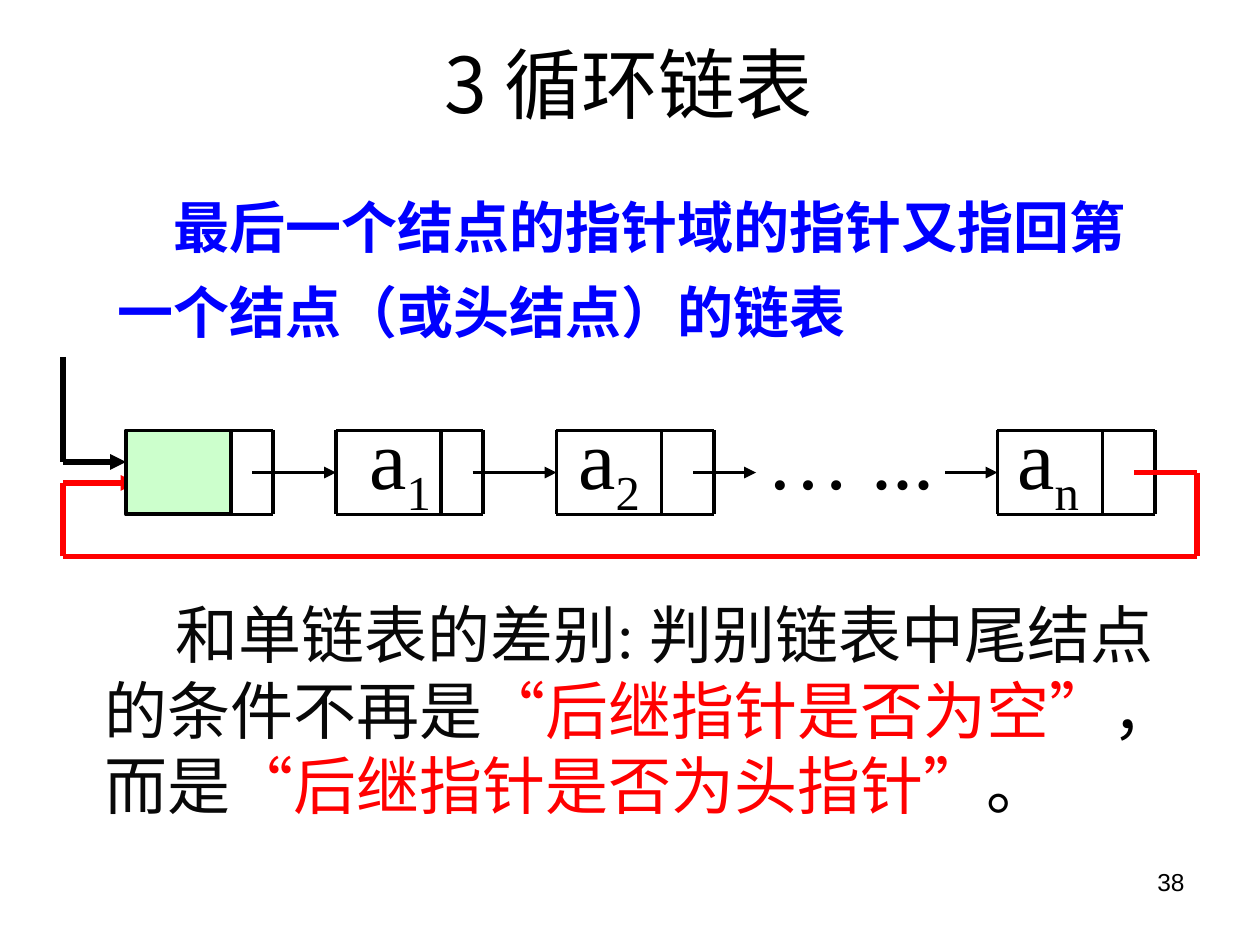
import dataclasses
import typing

import pptx
import pptx.dml.color
import pptx.enum.shapes
import pptx.enum.text
import pptx.oxml.ns
import pptx.util
from lxml import etree

COLS, ROWS = 120, 90
TOP, MID, BASE = 41, 45, 49
BLACK, RED, BLUE, GREEN, INK = "000000", "FF0000", "0000FF", "CCFFCC", "080808"
SERIF, SANS = "Times New Roman", "Noto Sans CJK SC"
ALIGN = pptx.enum.text.PP_ALIGN
SHAPE = pptx.enum.shapes.MSO_SHAPE

deck = pptx.Presentation()
deck.slide_width = pptx.util.Inches(10)
deck.slide_height = pptx.util.Inches(7.5)
slide = deck.slides.add_slide(deck.slide_layouts[5])


@dataclasses.dataclass
class Node:
    left: int
    split: int
    right: int


@dataclasses.dataclass
class Run:
    text: str
    color: str = BLACK
    base: int = 0


@dataclasses.dataclass
class Block:
    box: tuple
    runs: list
    font: dict
    para: dict = dataclasses.field(default_factory=dict)
    indent: float = 0
    tabs: tuple = ()


def hue(code: str) -> pptx.dml.color.RGBColor:
    return pptx.dml.color.RGBColor.from_string(code)


def across(col: float) -> int:
    return round(deck.slide_width * col / COLS)


def down(row: float) -> int:
    return round(deck.slide_height * row / ROWS)


def place(box: tuple) -> tuple:
    left, top, width, height = box
    return across(left), down(top), across(width), down(height)


def style(item: typing.Any, form: dict) -> None:
    for key, value in form.items():
        setattr(item, key, value)


def add_sub(parent: typing.Any, tag: str, **attrs: str) -> typing.Any:
    return etree.SubElement(parent, pptx.oxml.ns.qn(tag), **attrs)


def write(shape: typing.Any, block: Block) -> None:
    frame = shape.text_frame
    frame.word_wrap = True
    para = frame.paragraphs[0]
    style(para, block.para)
    props = para._p.get_or_add_pPr()
    if block.indent:
        props.set("indent", str(across(block.indent)))
    if block.tabs:
        stops = add_sub(props, "a:tabLst")
        for stop in block.tabs:
            add_sub(stops, "a:tab", pos=str(across(stop)), algn="l")
    for part in block.runs:
        run = para.add_run()
        run.text = part.text
        style(run.font, block.font)
        run.font.color.rgb = hue(part.color)
        look = run._r.get_or_add_rPr()
        add_sub(look, "a:ea", typeface=SANS)
        if part.base:
            look.set("baseline", str(part.base))


def add_text(block: Block) -> None:
    write(slide.shapes.add_textbox(*place(block.box)), block)


def add_cell(left: int, right: int, fill: str) -> None:
    box = place((left, TOP, right - left, BASE - TOP))
    rect = slide.shapes.add_shape(SHAPE.RECTANGLE, *box)
    rect.shadow.inherit = False
    rect.line.color.rgb = hue(BLACK)
    rect.line.width = pptx.util.Pt(2.25)
    rect.fill.solid()
    rect.fill.fore_color.rgb = hue(fill)


def add_line(start: tuple, end: tuple, color: str = BLACK,
             width: float = 2.25, arrow: bool = False) -> None:
    line = slide.shapes.add_connector(
        pptx.enum.shapes.MSO_CONNECTOR.STRAIGHT,
        across(start[0]), down(start[1]), across(end[0]), down(end[1]))
    line.line.color.rgb = hue(color)
    line.line.width = pptx.util.Pt(width)
    if arrow:
        add_sub(line.line._get_or_add_ln(), "a:tailEnd", type="triangle")
    add_sub(line._element.spPr, "a:effectLst")


def add_node(node: Node) -> None:
    for row in (TOP, BASE):
        add_line((node.left, row), (node.right, row))
    for col in (node.left, node.split, node.right):
        add_line((col, TOP), (col, BASE))


def add_path(points: list, color: str) -> None:
    last = len(points) - 2
    for step, (start, end) in enumerate(zip(points, points[1:])):
        add_line(start, end, color, 3, step == last)


def main() -> None:
    size = pptx.util.Pt
    title = slide.shapes.title
    style(title, dict(zip(("left", "top", "width", "height"),
                          place((8.8, 3.8, 102.2, 8.2)))))
    title.text_frame.vertical_anchor = pptx.enum.text.MSO_ANCHOR.MIDDLE
    write(title, Block((), [Run("3 循环链表")], {"size": size(44), "name": SANS},
                       {"alignment": ALIGN.CENTER}))

    add_text(Block(
        (10, 16, 99, 18.2),
        [Run("最后一个结点的指针域的指针又指回第一个结点（或头结点）的链表", BLUE)],
        {"size": size(32), "name": SERIF, "bold": True},
        {"line_spacing": size(48.6), "space_before": size(12.5)}, 5.35))
    add_text(Block(
        (28, 38, 91, 23),
        [Run("\ta"), Run("1", base=-25000), Run("\ta"), Run("2", base=-25000),
         Run("\t… ..."), Run("\ta"), Run("n", base=-25000)],
        {"size": size(48), "name": SERIF}, tabs=(6, 25.9, 43.8, 67.7)))

    head = Node(12, 22, 26)
    for node in (Node(32, 42, 46), Node(53, 63, 68), Node(95, 105, 110), head):
        add_node(node)
    for start, end in ((24, 32), (45, 53), (66, 72), (90, 95)):
        add_line((start, MID), (end, MID), arrow=True)
    add_path([(108, MID), (114, MID), (114, 53), (6, 53), (6, 46), (13, 46)], RED)
    add_path([(6, 34), (6, 44), (12, 44)], BLACK)
    add_cell(head.left, head.split, GREEN)

    add_text(Block(
        (8.8, 56.2, 107.2, 22.8),
        [Run("和单链表的差别: 判别链表中尾结点的条件不再是", INK),
         Run("“后继指针是否为空”", RED), Run("，"), Run("而是", INK),
         Run("“后继指针是否为头指针”", RED), Run("。")],
        {"size": size(36), "name": SERIF},
        {"line_spacing": size(43), "space_before": size(4.5)}, 6.75))
    add_text(Block((86, 82, 28, 6.2), [Run("38")],
                   {"size": size(14), "name": "Arial"},
                   {"alignment": ALIGN.RIGHT}))
    deck.save("out.pptx")


if __name__ == "__main__":
    main()
